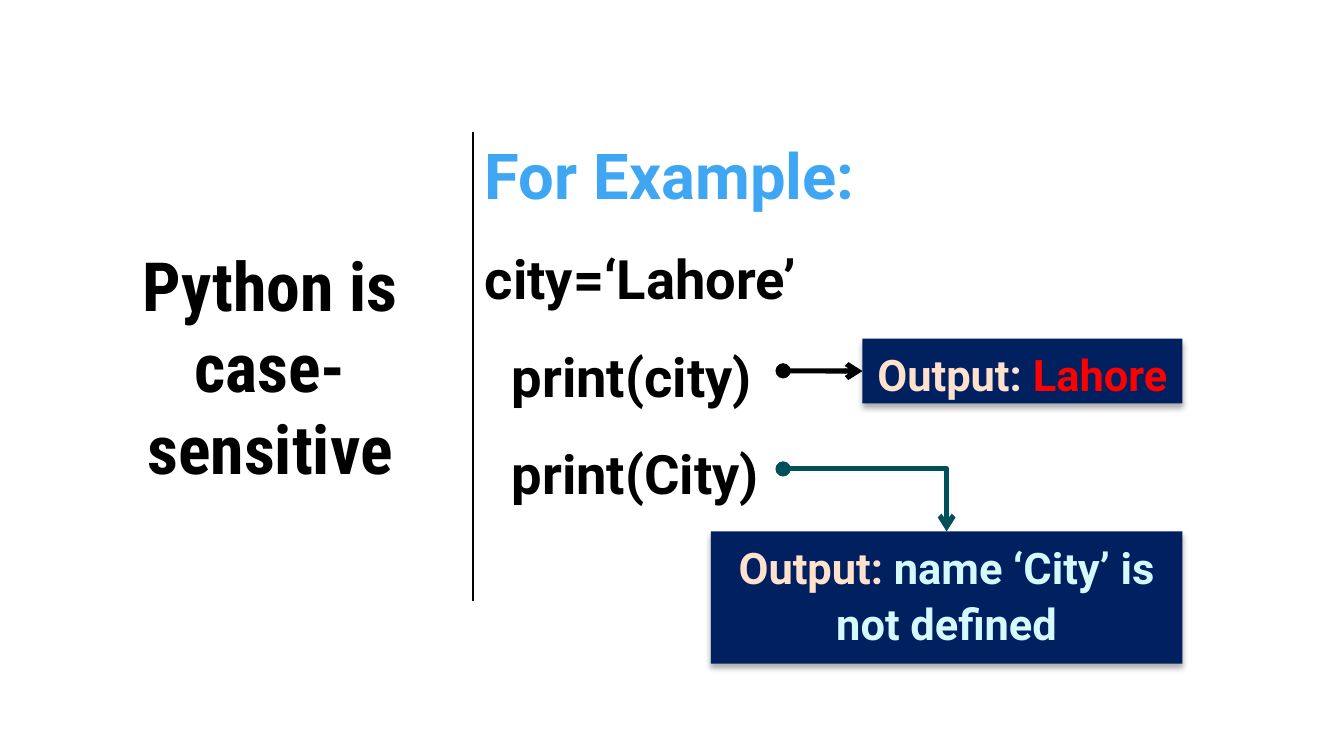
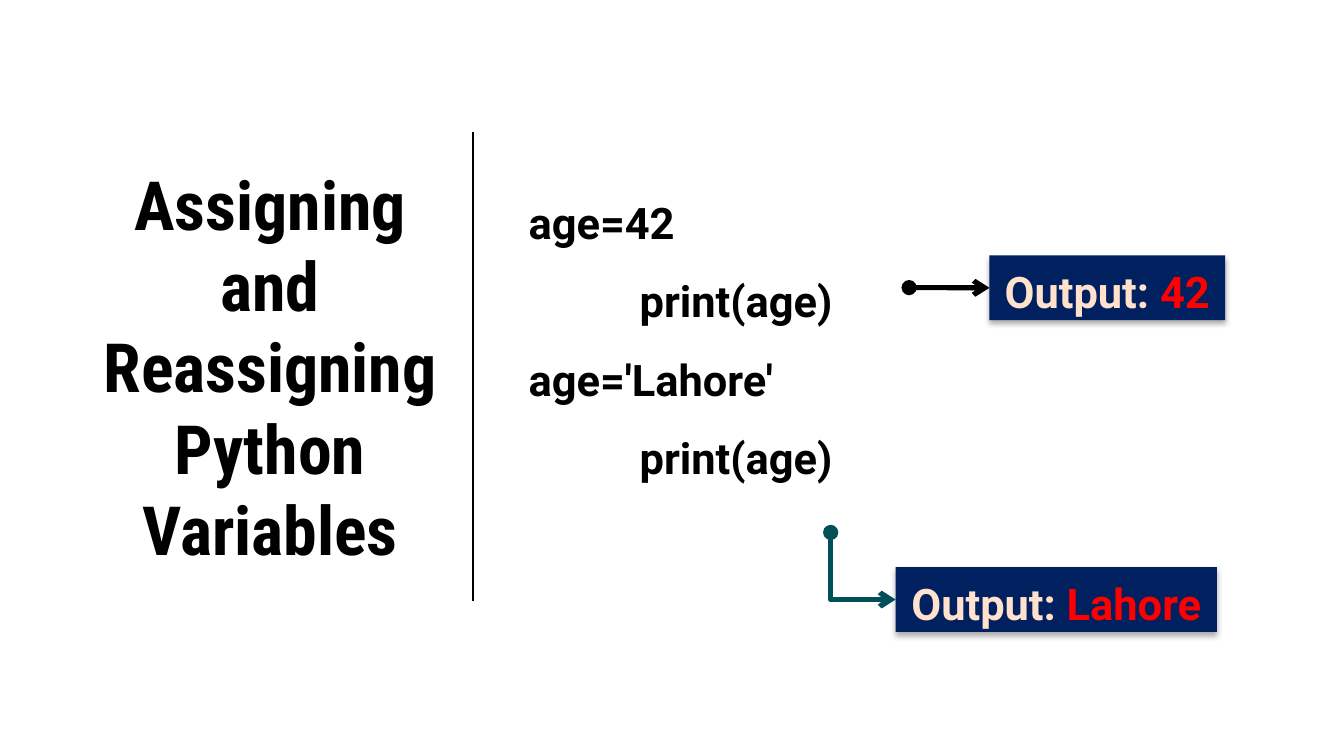
"""Build two slides on Python variables, each with its printed outputs."""
from lxml.etree import SubElement
from pptx import Presentation
from pptx.dml.color import RGBColor
from pptx.enum.shapes import MSO_CONNECTOR, MSO_SHAPE
from pptx.enum.text import MSO_ANCHOR, PP_ALIGN
from pptx.oxml.ns import qn
from pptx.util import Cm, Pt

HUES = {"ink": "000000", "head": "3EA6F3", "navy": "002060", "peach": "FFE1CC",
        "red": "FF0000", "ice": "D6F9FE", "teal": "004F59"}
TITLE = (1.4, 1.75, 8.43, 11.71)
RULE = (9.83, 2.74, 9.83, 12.5)
LABEL = ("Output: ", "peach")

SLIDES = [
    {"title": "Python is case-sensitive",
     "body": (9.83, 1.8, 16.71, 11.61),
     "lines": [("For Example:", 37.3, "head", 0),
               ("city=‘Lahore’", 32, "ink", 0),
               ("print(city)", 32, "ink", 0.56),
               ("print(City)", 32, "ink", 0.56)],
     "outs": [{"box": (17.93, 7.04, 6.65, 1.35), "text": ("Lahore", "red"),
               "from": (16.28, 7.71), "way": "straight"},
              {"box": (14.78, 11.05, 9.8, 2.75),
               "text": ("name ‘City’ is not defined", "ice"),
               "from": (16.28, 9.75), "way": "down"}]},
    {"title": "Assigning and Reassigning Python Variables",
     "body": (9.83, 3.29, 16.71, 10.12),
     "lines": [("age=42", 25.6, "ink", 0.91),
               ("print(age)", 25.6, "ink", 3.22),
               ("age='Lahore'", 25.6, "ink", 0.91),
               ("print(age)", 25.6, "ink", 3.22)],
     "outs": [{"box": (20.57, 5.31, 4.9, 1.35), "text": ("42", "red"),
               "from": (18.9, 5.98), "way": "straight"},
              {"box": (18.62, 11.79, 6.68, 1.35), "text": ("Lahore", "red"),
               "from": (17.27, 11.07), "way": "right"}]},
]


def hue(key):
    return RGBColor.from_string(HUES[key])


def put(item, vals):
    for key, val in vals.items():
        setattr(item, key, val)


def cms(nums):
    return [Cm(num) for num in nums]


def write(para, text, size, tint, face="Roboto"):
    run = para.add_run()
    run.text = text
    put(run.font, {"name": face, "size": Pt(size), "bold": True})
    run.font.color.rgb = hue(tint)


def frame(shape, side, edge, anchor=MSO_ANCHOR.TOP):
    text = shape.text_frame
    put(text, {"word_wrap": True, "vertical_anchor": anchor,
               "margin_left": Cm(side), "margin_right": Cm(side),
               "margin_top": Cm(edge), "margin_bottom": Cm(edge)})
    return text


def draw(slide, kind, ends, tint, width):
    line = slide.shapes.add_connector(kind, *cms(ends))
    line.line.color.rgb = hue(tint)
    line.line.width = Pt(width)
    SubElement(line._element.spPr, qn("a:effectLst"))
    return line


def tips(line):
    edge = line._element.spPr.find(qn("a:ln"))
    for tag, kind in (("a:headEnd", "oval"), ("a:tailEnd", "arrow")):
        SubElement(edge, qn(tag), type=kind)


def shade(shape):
    shape.shadow.inherit = False
    effects = shape._element.spPr.find(qn("a:effectLst"))
    cast = SubElement(effects, qn("a:outerShdw"), blurRad=str(Pt(3.5)),
                      dist=str(Pt(2.2)), dir="5400000", rotWithShape="0")
    tone = SubElement(cast, qn("a:srgbClr"), val=HUES["ink"])
    SubElement(tone, qn("a:alpha"), val="32000")


def bend(slide, start, end, way):
    left, top, right, base = *start, *end
    if way == "right":
        mid_x, mid_y = (left + right) / 2, (top + base) / 2
        half_w, half_h = (base - top) / 2, (right - left) / 2
        left, right = mid_x + half_w, mid_x - half_w
        top, base = mid_y - half_h, mid_y + half_h
    line = draw(slide, MSO_CONNECTOR.ELBOW, (left, top, right, base), "teal", 3)
    line._element.spPr.find(qn("a:prstGeom")).set("prst", "bentConnector2")
    if way == "right":
        line._element.spPr.find(qn("a:xfrm")).set("rot", "16200000")
    return line


def output(slide, out):
    box = slide.shapes.add_shape(MSO_SHAPE.RECTANGLE, *cms(out["box"]))
    box.fill.solid()
    box.fill.fore_color.rgb = hue("navy")
    box.line.fill.background()
    shade(box)
    para = frame(box, 0.28, 0.13).paragraphs[0]
    put(para, {"alignment": PP_ALIGN.CENTER, "line_spacing": 1.07})
    for text, tint in (LABEL, out["text"]):
        write(para, text, 25.6, tint)

    left, top, width, height = out["box"]
    start, way = out["from"], out["way"]
    side = (left, top + height / 2)
    if way == "straight":
        line = draw(slide, MSO_CONNECTOR.STRAIGHT, (*start, *side), "ink", 3)
        line.end_connect(box, 1)
    else:
        end = side if way == "right" else (left + width / 2, top)
        line = bend(slide, start, end, way)
    tips(line)


def build(deck, data):
    slide = deck.slides.add_slide(deck.slide_layouts[6])
    draw(slide, MSO_CONNECTOR.STRAIGHT, RULE, "ink", 1.5)
    title = slide.shapes.add_textbox(*cms(TITLE))
    para = frame(title, 0.25, 0.25, MSO_ANCHOR.MIDDLE).paragraphs[0]
    para.alignment = PP_ALIGN.CENTER
    write(para, data["title"], 40, "ink", "Roboto Condensed")

    body = frame(slide.shapes.add_textbox(*cms(data["body"])), 0.25, 0.25)
    for num, (text, size, tint, inset) in enumerate(data["lines"]):
        para = body.add_paragraph() if num else body.paragraphs[0]
        para.line_spacing = 1.5
        para._p.get_or_add_pPr().set("marL", str(Cm(inset)))
        write(para, text, size, tint)
    for out in data["outs"]:
        output(slide, out)


def main():
    deck = Presentation()
    put(deck, {"slide_width": Cm(27.94), "slide_height": Cm(15.24)})
    for data in SLIDES:
        build(deck, data)
    deck.save("out.pptx")


if __name__ == "__main__":
    main()
